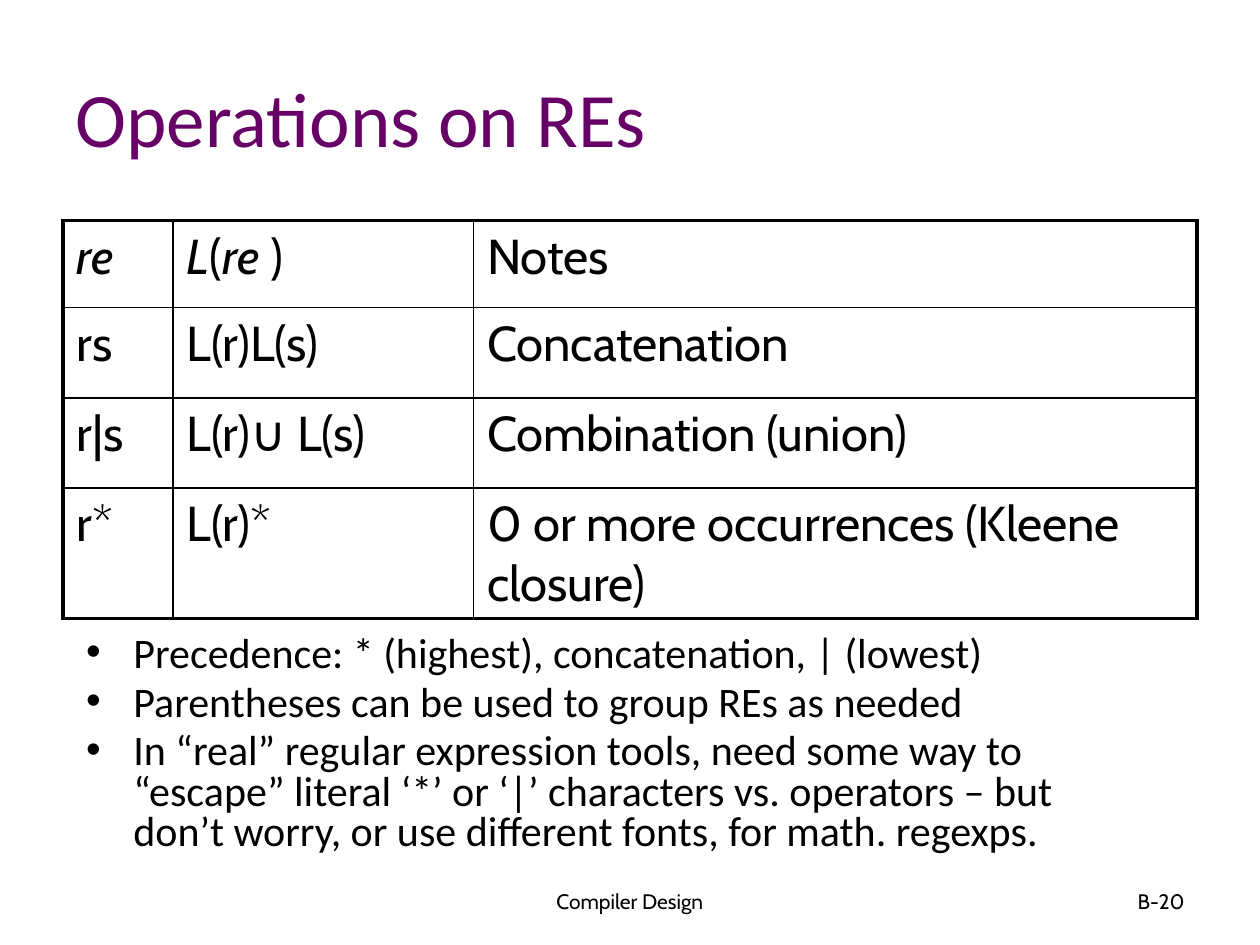
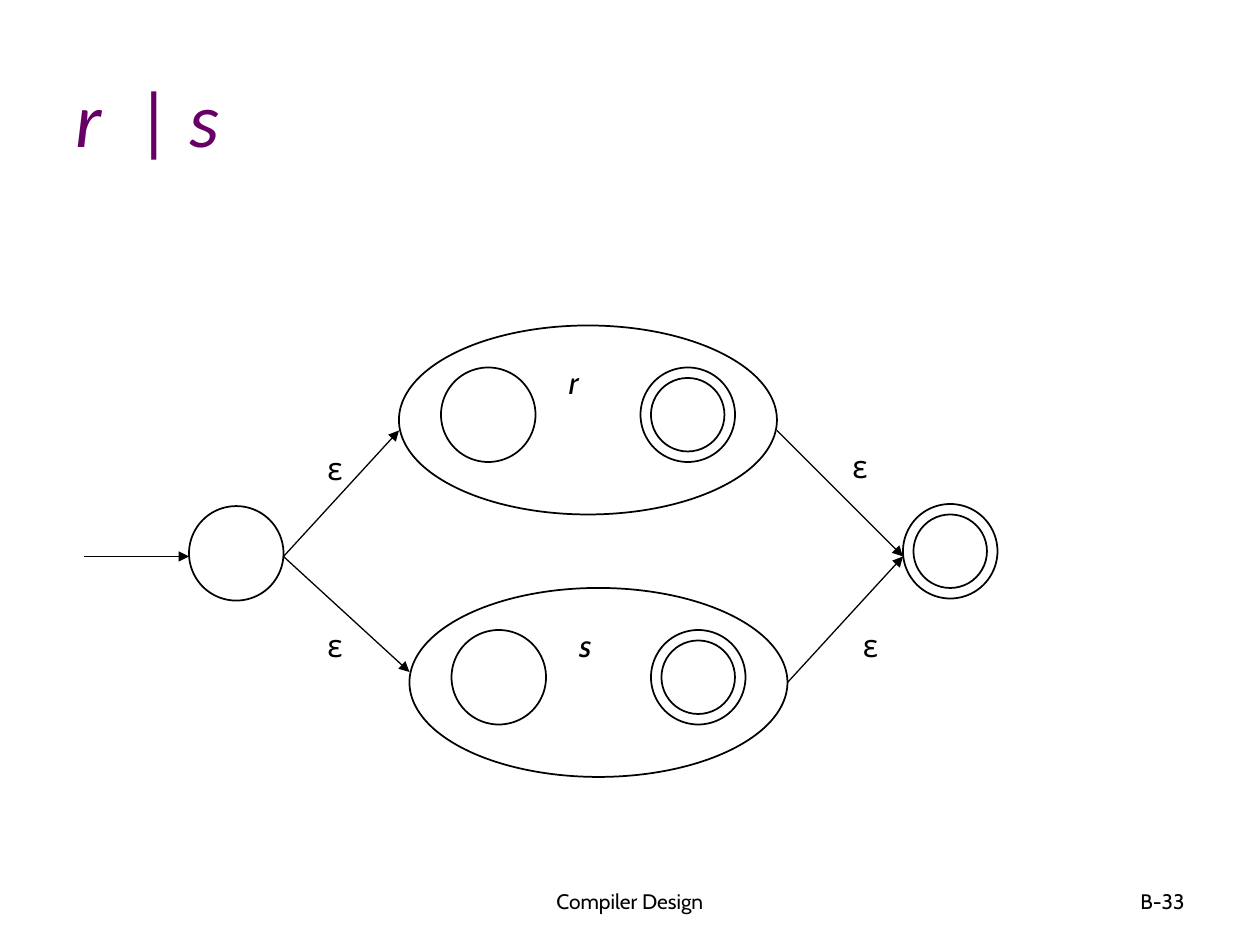
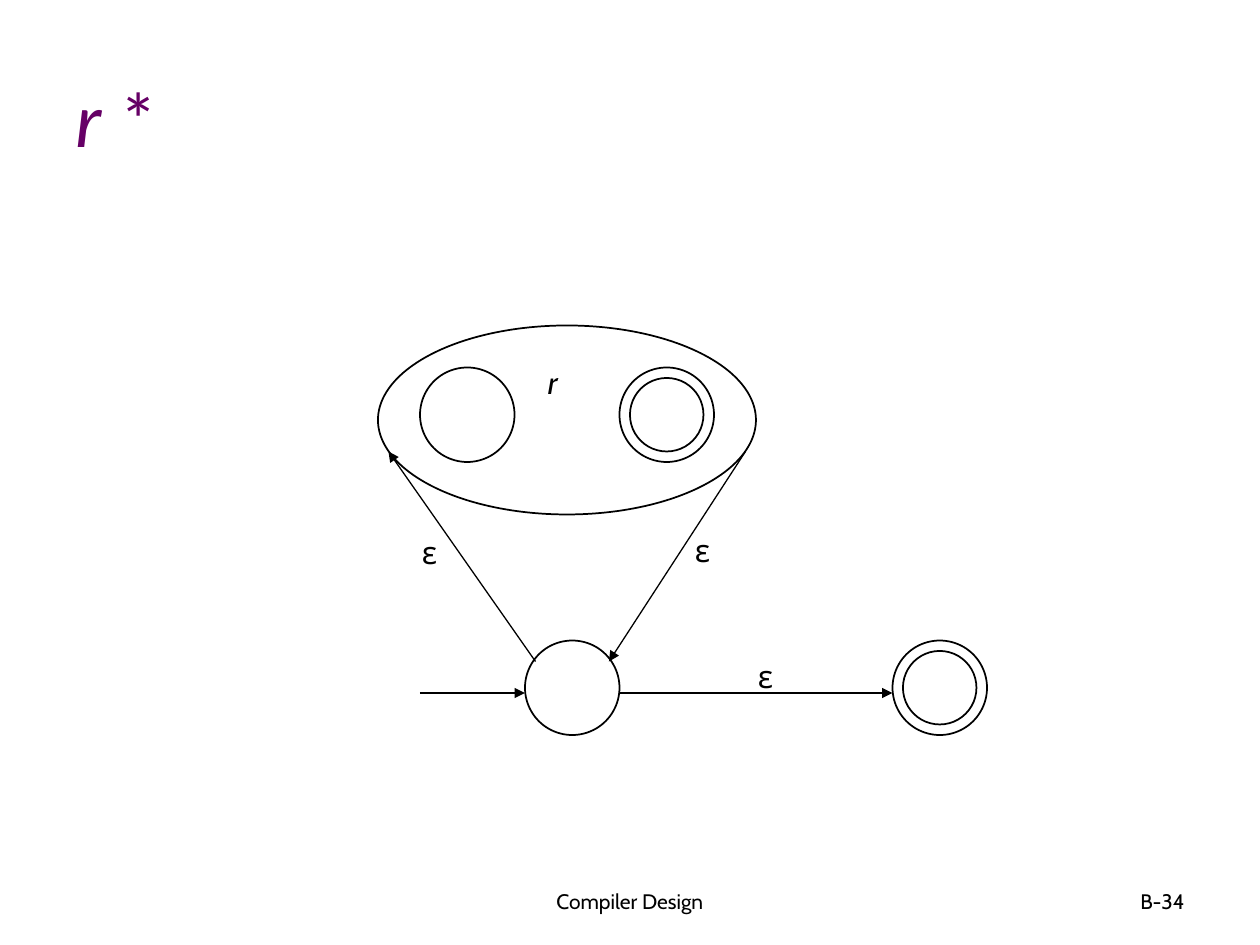
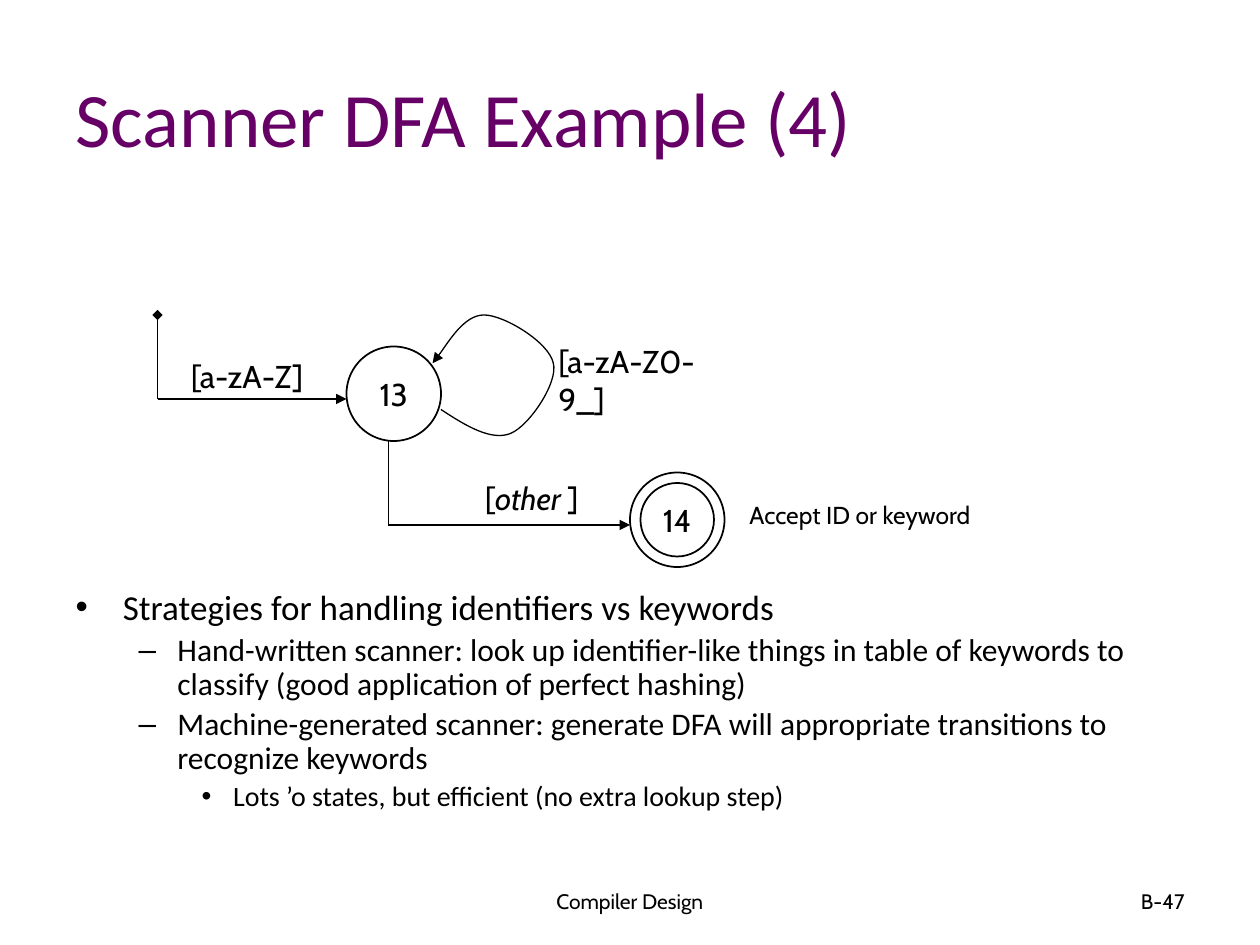
from dataclasses import dataclass
from typing import NamedTuple

from pptx import Presentation
from pptx.dml.color import RGBColor
from pptx.enum.shapes import MSO_CONNECTOR, MSO_SHAPE
from pptx.enum.text import MSO_ANCHOR, MSO_AUTO_SIZE, PP_ALIGN
from pptx.oxml.ns import qn
from pptx.util import Emu, Pt
from lxml.etree import SubElement

PX = 7620  # 120 px to the inch
BLACK = "000000"
PURPLE = "660066"
TITLE_FONT = "Calibri"
LABEL_FONT = "Cabin"
THIN, MEDIUM, THICK = 0.75, 1, 2.25
STATE_SIZE = 90
RING_GAP = 10
TITLE_AND_BODY, TITLE_ONLY = 1, 5


class Span(NamedTuple):
    text: str
    italic: bool = False


class Box(NamedTuple):
    left: int
    top: int
    width: int
    height: int


class Style(NamedTuple):
    size: float
    font: str = LABEL_FONT
    color: str = BLACK


class Bullet(NamedTuple):
    char: str
    margin: int
    hang: int


BULLETS = (Bullet("•", 45, 45), Bullet("–", 97, 37), Bullet("•", 150, 30))
TITLE_STYLE = Style(44, TITLE_FONT, PURPLE)
LABEL_STYLE = Style(18)
FOOTER_STYLE = Style(12)
TITLE_BOX = Box(60, 36, 1080, 150)
FOOTER_BOX = Box(410, 834, 380, 48)
NUMBER_BOX = Box(860, 834, 280, 48)


@dataclass(frozen=True)
class Item:
    text: str
    size: int
    level: int = 0


@dataclass(frozen=True)
class State:
    left: int
    top: int
    accepting: bool = False
    name: str = ""


@dataclass(frozen=True)
class Arrow:
    start: tuple[int, int]
    end: tuple[int, int]
    width: float = THIN
    head: str = ""
    tail: str = "triangle"


@dataclass(frozen=True)
class Label:
    spans: tuple[Span, ...]
    box: Box
    style: Style = LABEL_STYLE


def px(length: int) -> Emu:
    return Emu(length * PX)


def rgb(color: str) -> RGBColor:
    return RGBColor.from_string(color)


def place(shape, box: Box) -> None:
    shape.left, shape.top, shape.width, shape.height = map(px, box)


def add_spans(para, spans: tuple[Span, ...], style: Style) -> None:
    for text, italic in spans:
        span = para.add_run()
        span.text = text
        span.font.size = Pt(style.size)
        span.font.name = style.font
        span.font.italic = italic
        span.font.color.rgb = rgb(style.color)


def add_text(page, label: Label, align=PP_ALIGN.LEFT, anchor=MSO_ANCHOR.TOP) -> None:
    frame = page.shapes.add_textbox(*map(px, label.box)).text_frame
    frame.word_wrap = True
    frame.vertical_anchor = anchor
    para = frame.paragraphs[0]
    para.alignment = align
    add_spans(para, label.spans, label.style)


def add_page(deck, layout: int, title: tuple[Span, ...], number: str):
    """Add a page with its title, footer and page number."""
    page = deck.slides.add_slide(deck.slide_layouts[layout])
    heading = page.shapes.title
    place(heading, TITLE_BOX)
    frame = heading.text_frame
    frame.auto_size = MSO_AUTO_SIZE.NONE
    frame.vertical_anchor = MSO_ANCHOR.MIDDLE
    para = frame.paragraphs[0]
    para.alignment = PP_ALIGN.LEFT
    add_spans(para, title, TITLE_STYLE)
    for text, box, align in (
        ("Compiler Design", FOOTER_BOX, PP_ALIGN.CENTER),
        (number, NUMBER_BOX, PP_ALIGN.RIGHT),
    ):
        add_text(page, Label((Span(text),), box, FOOTER_STYLE), align, MSO_ANCHOR.MIDDLE)
    return page


def fill_body(page, box: Box, items: list[Item], line_spacing: float) -> None:
    body = page.placeholders[1]
    place(body, box)
    frame = body.text_frame
    frame.auto_size = MSO_AUTO_SIZE.NONE
    for index, item in enumerate(items):
        para = frame.add_paragraph() if index else frame.paragraphs[0]
        para.level = item.level
        bullet = BULLETS[item.level]
        properties = para._p.get_or_add_pPr()
        properties.set("marL", str(px(bullet.margin)))
        properties.set("indent", str(px(-bullet.hang)))
        SubElement(properties, qn("a:buChar"), char=bullet.char)
        para.line_spacing = line_spacing
        para.space_before = Pt(item.size * 0.2 if index else 0)
        add_spans(para, (Span(item.text),), Style(item.size, TITLE_FONT))


def set_border(cell, side: str, width: float) -> None:
    line = SubElement(cell._tc.get_or_add_tcPr(), qn(f"a:ln{side}"), w=str(Pt(width)))
    fill = SubElement(line, qn("a:solidFill"))
    SubElement(fill, qn("a:srgbClr"), val=BLACK)


def add_grid(page, left: int, top: int, widths: list[int], heights: list[int],
             rows: list[list[tuple[Span, ...]]]) -> None:
    """Draw a table with a thick outer frame and thin inner lines."""
    box = Box(left, top, sum(widths), sum(heights))
    table = page.shapes.add_table(len(rows), len(widths), *map(px, box)).table
    table.first_row = table.horz_banding = False
    for column, width in zip(table.columns, widths):
        column.width = px(width)
    for row, height in zip(table.rows, heights):
        row.height = px(height)
    last_row, last_column = len(rows) - 1, len(widths) - 1
    for r, row in enumerate(rows):
        for c, spans in enumerate(row):
            cell = table.cell(r, c)
            cell.margin_left = cell.margin_right = px(13)
            cell.margin_top = cell.margin_bottom = px(6)
            add_spans(cell.text_frame.paragraphs[0], spans, Style(28))
            outer = {"L": c == 0, "R": c == last_column, "T": r == 0, "B": r == last_row}
            for side, is_outer in outer.items():
                set_border(cell, side, THICK if is_outer else MEDIUM)
            cell.fill.background()


def draw_ellipse(shapes, box: Box, name: str = "") -> None:
    ellipse = shapes.add_shape(MSO_SHAPE.OVAL, *map(px, box))
    ellipse.shadow.inherit = False
    ellipse.fill.background()
    ellipse.line.color.rgb = rgb(BLACK)
    ellipse.line.width = Pt(MEDIUM)
    if name:
        frame = ellipse.text_frame
        frame.word_wrap = False
        frame.vertical_anchor = MSO_ANCHOR.MIDDLE
        para = frame.paragraphs[0]
        para.alignment = PP_ALIGN.CENTER
        add_spans(para, (Span(name),), LABEL_STYLE)


def draw_state(page, state: State) -> None:
    """Draw a circle, or a grouped double circle for an accepting state."""
    outer = Box(state.left, state.top, STATE_SIZE, STATE_SIZE)
    if not state.accepting:
        draw_ellipse(page.shapes, outer, state.name)
        return
    shapes = page.shapes.add_group_shape().shapes
    inner_size = STATE_SIZE - 2 * RING_GAP
    draw_ellipse(shapes, outer)
    draw_ellipse(shapes, Box(state.left + RING_GAP, state.top + RING_GAP,
                             inner_size, inner_size), state.name)


def add_line_ends(shape, head: str, tail: str) -> None:
    line = shape.line._get_or_add_ln()
    for tag, kind in (("a:headEnd", head), ("a:tailEnd", tail)):
        if kind:
            SubElement(line, qn(tag), type=kind)


def draw_arrow(page, arrow: Arrow) -> None:
    connector = page.shapes.add_connector(
        MSO_CONNECTOR.STRAIGHT, *map(px, arrow.start + arrow.end))
    connector.line.color.rgb = rgb(BLACK)
    connector.line.width = Pt(arrow.width)
    add_line_ends(connector, arrow.head, arrow.tail)
    SubElement(connector._element.spPr, qn("a:effectLst"))


def draw_curve(page, start: tuple[int, int], points: list[tuple[int, int]]) -> None:
    """Draw an arrow along Bézier curves, each given by three points."""
    builder = page.shapes.build_freeform(*start, scale=PX)
    builder.add_line_segments(points, close=False)
    curve = builder.convert_to_shape()
    outline = next(curve._element.iter(qn("a:path")))
    segments = outline.findall(qn("a:lnTo"))
    for first in range(0, len(segments), 3):
        bezier = SubElement(outline, qn("a:cubicBezTo"))
        for segment in segments[first:first + 3]:
            bezier.append(segment[0])
            outline.remove(segment)
    curve.shadow.inherit = False
    curve.fill.background()
    curve.line.color.rgb = rgb(BLACK)
    curve.line.width = Pt(THIN)
    add_line_ends(curve, "", "triangle")


def small_label(text: str, left: int, top: int, italic: bool = False) -> Label:
    return Label((Span(text, italic),), Box(left, top, 50, 48))


def draw_machine(page, name: str, left: int, top: int) -> None:
    """Draw the automaton of a subexpression inside its oval."""
    draw_state(page, State(left + 40, top + 40))
    draw_state(page, State(left + 230, top + 40, accepting=True))
    add_text(page, small_label(name, left + 150, top + 30, italic=True))
    draw_ellipse(page.shapes, Box(left, top, 360, 180))


def draw_diagram(page, states: list[State], arrows: list[Arrow], labels: list[Label]) -> None:
    for state in states:
        draw_state(page, state)
    for arrow in arrows:
        draw_arrow(page, arrow)
    for label in labels:
        add_text(page, label)


def epsilons(*places: tuple[int, int]) -> list[Label]:
    return [small_label("ε", left, top) for left, top in places]


def build_operations(deck) -> None:
    page = add_page(deck, TITLE_AND_BODY, (Span("Operations on REs"),), "B-20")
    header = [
        (Span("re", True),),
        (Span("L", True), Span("("), Span("re", True), Span(" )")),
        (Span("Notes"),),
    ]
    operations = [
        ("rs", "L(r)L(s)", "Concatenation"),
        ("r|s", "L(r)∪ L(s)", "Combination (union)"),
        ("r*", "L(r)*", "0 or more occurrences (Kleene closure)"),
    ]
    rows = [header] + [[(Span(text),) for text in row] for row in operations]
    add_grid(page, 60, 210, [105, 286, 689], [83, 86, 86, 124], rows)
    notes = [
        "Precedence: * (highest), concatenation, | (lowest)",
        "Parentheses can be used to group REs as needed",
        "In “real” regular expression tools, need some way to “escape” literal ‘*’ or ‘|’ "
        "characters vs. operators – but don’t worry, or use different fonts, for math. regexps.",
    ]
    fill_body(page, Box(70, 600, 1020, 230), [Item(note, 24) for note in notes], 0.8)


def build_alternation(deck) -> None:
    title = (Span("r  ", True), Span("|"), Span(" s", True))
    page = add_page(deck, TITLE_ONLY, title, "B-33")
    draw_machine(page, "r", 380, 310)
    draw_machine(page, "s", 390, 560)
    fork, join = (270, 530), (860, 530)
    draw_diagram(
        page,
        [State(180, 482), State(860, 480, accepting=True)],
        [
            Arrow((80, 530), (180, 530), MEDIUM),
            Arrow(fork, (380, 410)),
            Arrow(fork, (390, 640)),
            Arrow((740, 410), join),
            Arrow((750, 650), join),
        ],
        epsilons((300, 422), (300, 590), (800, 420), (810, 590)),
    )


def build_closure(deck) -> None:
    page = add_page(deck, TITLE_ONLY, (Span("r ", True), Span("*")), "B-34")
    draw_machine(page, "r", 360, 310)
    draw_diagram(
        page,
        [State(500, 610), State(850, 610, accepting=True)],
        [
            Arrow((400, 660), (500, 660), MEDIUM),
            Arrow((510, 630), (370, 430)),
            Arrow((710, 430), (580, 630)),
            Arrow((590, 660), (850, 660)),
        ],
        epsilons((390, 502), (650, 500), (710, 620)),
    )


def build_scanner(deck) -> None:
    page = add_page(deck, TITLE_AND_BODY, (Span("Scanner DFA Example (4)"),), "B-47")
    fill_body(page, Box(60, 556, 1080, 248), [
        Item("Strategies for handling identifiers vs keywords", 20),
        Item("Hand-written scanner: look up identifier-like things in table of keywords to "
             "classify (good application of perfect hashing)", 18, 1),
        Item("Machine-generated scanner: generate DFA will appropriate transitions to "
             "recognize keywords", 18, 1),
        Item("Lots ’o states, but efficient (no extra lookup step)", 16, 2),
    ], 0.9)
    draw_diagram(
        page,
        [State(330, 330, name="13"), State(600, 450, accepting=True, name="14")],
        [
            Arrow((150, 300), (150, 380), head="diamond", tail=""),
            Arrow((150, 380), (330, 380)),
            Arrow((370, 420), (370, 500), tail=""),
            Arrow((370, 500), (600, 500)),
        ],
        [
            Label((Span("[a-zA-Z]"),), Box(170, 334, 133, 48)),
            Label((Span("[a-zA-Z0-9_]"),), Box(520, 320, 193, 48)),
            Label((Span("["), Span("other", True), Span(" ]")), Box(450, 450, 127, 48)),
            Label((Span("Accept ID or keyword"),), Box(702, 470, 247, 40), Style(14)),
        ],
    )
    draw_curve(page, (420, 390), [
        (444, 406), (468, 420), (486, 413),
        (504, 406), (532, 364), (527, 346),
        (523, 326), (480, 300), (461, 300),
        (442, 300), (420, 337), (412, 346),
    ])


def main() -> None:
    deck = Presentation()
    deck.slide_width, deck.slide_height = px(1200), px(900)
    build_operations(deck)
    build_alternation(deck)
    build_closure(deck)
    build_scanner(deck)
    deck.save("out.pptx")


if __name__ == "__main__":
    main()
